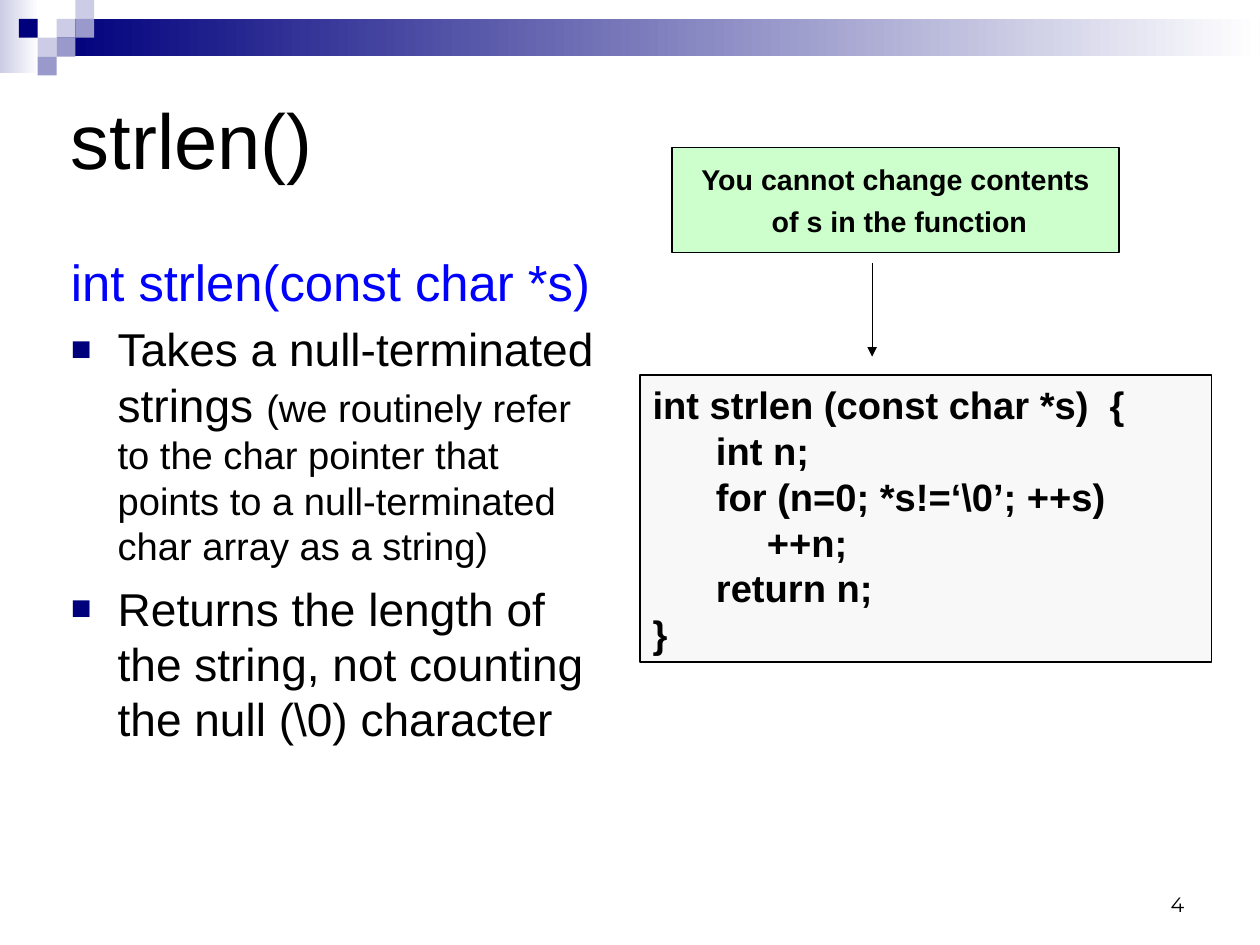
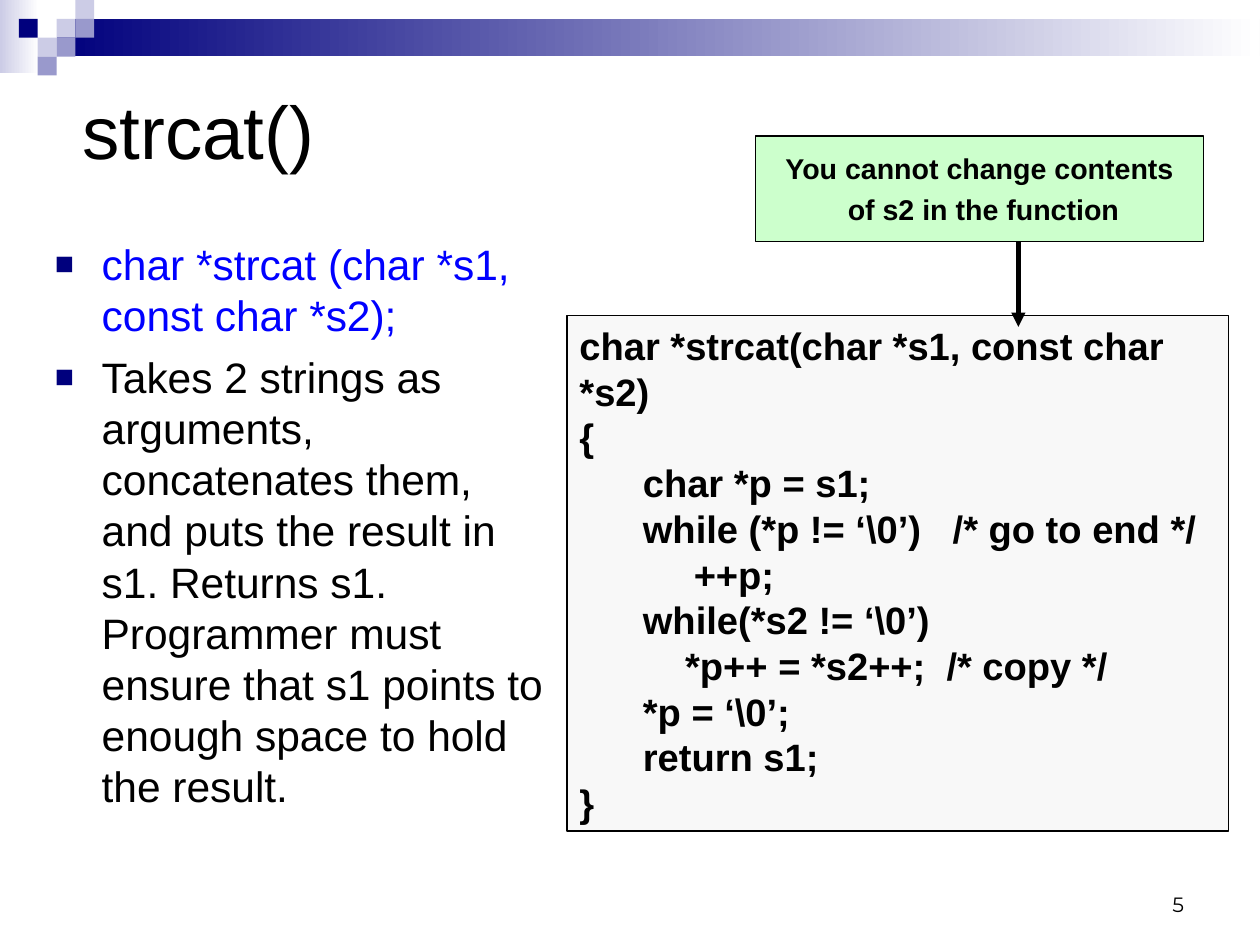
from lxml import etree
from pptx import Presentation
from pptx.dml.color import RGBColor
from pptx.enum import shapes, text
from pptx.oxml.ns import qn
from pptx.util import Inches, Pt


class Theme:
    navy, lilac, pale = "00007D", "9999CC", "CCCCE6"
    black, white, blue = "000000", "FFFFFF", "0000FF"
    code_fill, note_fill = "F8F8F8", "CCFFCC"
    font, number_font = "Arial", "Montserrat"
    number_size, note_size, code_size = 13, 18, 24
    heading_size, point_size, small_point_size = 32, 29, 26.8


def add_box(page, place, fill=None, line_width=None):
    """Add a rectangle, or a text box when it has no fill."""
    place = [Inches(value) for value in place]
    if fill is None:
        return page.shapes.add_textbox(*place)
    box = page.shapes.add_shape(shapes.MSO_SHAPE.RECTANGLE, *place)
    box.shadow.inherit = False
    if isinstance(fill, tuple):
        box.fill.gradient()
        box.fill.gradient_angle = 0
        for stop, position, colour in zip(box.fill.gradient_stops, (0, 1), fill):
            stop.position = position
            stop.color.rgb = RGBColor.from_string(colour)
    else:
        box.fill.solid()
        box.fill.fore_color.rgb = RGBColor.from_string(fill)
    if line_width:
        box.line.color.rgb = RGBColor.from_string(Theme.black)
        box.line.width = Pt(line_width)
    else:
        box.line.fill.background()
    return box


def write(box, paragraphs, align="LEFT", font=Theme.font, bold=False, **frame_format):
    """Each paragraph is (space before, bulleted, [(text, size, colour)])."""
    frame = box.text_frame
    settings = dict(word_wrap=True, vertical_anchor=text.MSO_ANCHOR.TOP,
                    auto_size=text.MSO_AUTO_SIZE.NONE,
                    margin_left=Inches(0.11), margin_right=Inches(0.11),
                    margin_top=Inches(0.06), margin_bottom=Inches(0.06))
    for name, value in (settings | frame_format).items():
        setattr(frame, name, value)
    for index, (before, bulleted, spans) in enumerate(paragraphs):
        para = frame.add_paragraph() if index else frame.paragraphs[0]
        props = para._p.get_or_add_pPr()
        if bulleted:
            props.set("marL", str(Inches(0.41)))
            props.set("indent", str(-Inches(0.41)))
            colour = etree.SubElement(props, qn("a:buClr"))
            etree.SubElement(colour, qn("a:srgbClr"), val=Theme.navy)
            etree.SubElement(props, qn("a:buSzPct"), val="75000")
            etree.SubElement(props, qn("a:buFont"), typeface=Theme.font)
            etree.SubElement(props, qn("a:buChar"), char="■")
        if "\t" in spans[0][0]:
            stops = etree.SubElement(props, qn("a:tabLst"))
            etree.SubElement(stops, qn("a:tab"), pos=str(Inches(1)), algn="l")
        para.alignment = getattr(text.PP_ALIGN, align)
        if index:
            para.space_before = Pt(before)
        for words, size, colour in spans:
            span = para.add_run()
            span.text = words
            for name, value in dict(name=font, size=Pt(size), bold=bold).items():
                setattr(span.font, name, value)
            span.font.color.rgb = RGBColor.from_string(colour)


# Content of the slides
pages = [
    dict(
        number="4", title="strlen()", title_size=49, title_at=(0.51, 0.38, 9.92, 1.66),
        body_at=(0.51, 2.13, 4.88, 5.25),
        body=[
            (0, False, [("int strlen(const char *s)", Theme.heading_size, Theme.blue)]),
            (6, True, [
                ("Takes a null-terminated strings ", Theme.point_size, Theme.black),
                ("(we routinely refer to the char pointer that points to a "
                 "null-terminated char array as a string)", Theme.code_size, Theme.black)]),
            (7.3, True, [("Returns the length of the string, not counting the null "
                          "(\\0) character", Theme.point_size, Theme.black)]),
        ],
        code_at=(5.6, 3.28, 5, 2.51),
        code=["int strlen (const char *s)  {",
              "      int n;",
              "      for (n=0; *s!=‘\\0’; ++s)",
              "\t++n;",
              "      return n;",
              "}"],
        note_at=(5.88, 1.29, 3.91, 0.92),
        note=["You cannot change contents", " of s in the function"],
        arrow=(7.63, 2.3, 7.63, 3.12), arrow_width=0.75,
    ),
    dict(
        number="5", title="strcat()", title_size=47, title_at=(0.61, 0.33, 10.41, 1.61),
        body_at=(0.37, 2.02, 4.59, 5.44),
        body=[
            (0, True, [("char *strcat (char *s1, const char *s2);",
                        Theme.small_point_size, Theme.blue)]),
            (7.3, True, [("Takes 2 strings as arguments, concatenates them, and puts the "
                          "result in s1. Returns s1. Programmer must ensure that s1 points "
                          "to enough space to hold the result.",
                          Theme.small_point_size, Theme.black)]),
        ],
        code_at=(4.96, 2.76, 5.79, 4.51),
        code=["char *strcat(char *s1, const char *s2)",
              "{",
              "      char *p = s1;",
              "      while (*p != ‘\\0’)   /* go to end */",
              "\t++p;",
              "      while(*s2 != ‘\\0’)",
              "          *p++ = *s2++;  /* copy */",
              "      *p = ‘\\0’;",
              "      return s1;",
              "}"],
        note_at=(6.61, 1.19, 3.92, 0.92),
        note=["You cannot change contents", " of s2 in the function"],
        arrow=(8.91, 2.11, 8.91, 2.86), arrow_width=3,
    ),
]

# Corner mosaic: column, row, colour on a square grid
cell = 0.66 / 4
mosaic = [(3, 1, Theme.pale), (4, 0, Theme.pale), (4, 1, Theme.lilac),
          (2, 2, Theme.pale), (1, 1, Theme.navy), (3, 2, Theme.lilac),
          (2, 3, Theme.lilac)]

# The page measures 28 by 21 centimetres
deck = Presentation()
deck.slide_width = Inches(28 / 2.54)
deck.slide_height = Inches(21 / 2.54)

for content in pages:
    page = deck.slides.add_slide(deck.slide_layouts[6])

    # Top band and mosaic
    add_box(page, (0, 0, 0.34, 0.64), (Theme.pale, Theme.white))
    add_box(page, (0.5, cell, 10.52, 2 * cell), (Theme.navy, Theme.white))
    for column, row, colour in mosaic:
        add_box(page, (column * cell, row * cell, cell, cell), colour)

    # Slide number, title and body
    write(add_box(page, (7.9, 7.53, 2.57, 0.55)),
          [(0, False, [(content["number"], Theme.number_size, Theme.black)])],
          align="RIGHT", font=Theme.number_font, vertical_anchor=text.MSO_ANCHOR.BOTTOM)
    write(add_box(page, content["title_at"]),
          [(0, False, [(content["title"], content["title_size"], Theme.black)])],
          vertical_anchor=text.MSO_ANCHOR.MIDDLE)
    write(add_box(page, content["body_at"]), content["body"])

    # Code listing
    write(add_box(page, content["code_at"], Theme.code_fill, 1),
          [(0, False, [(line, Theme.code_size, Theme.black)]) for line in content["code"]],
          bold=True, auto_size=text.MSO_AUTO_SIZE.SHAPE_TO_FIT_TEXT)

    # Callout and its arrow
    write(add_box(page, content["note_at"], Theme.note_fill, 0.75),
          [(4.5, False, [(line, Theme.note_size, Theme.black)]) for line in content["note"]],
          align="CENTER", bold=True, word_wrap=False,
          vertical_anchor=text.MSO_ANCHOR.MIDDLE,
          margin_left=0, margin_right=0, margin_top=0, margin_bottom=0)
    arrow = page.shapes.add_connector(shapes.MSO_CONNECTOR.STRAIGHT,
                                      *[Inches(value) for value in content["arrow"]])
    arrow.line.color.rgb = RGBColor.from_string(Theme.black)
    arrow.line.width = Pt(content["arrow_width"])
    etree.SubElement(arrow.line._get_or_add_ln(), qn("a:tailEnd"), type="triangle")
    etree.SubElement(arrow._element.spPr, qn("a:effectLst"))

deck.save("out.pptx")
